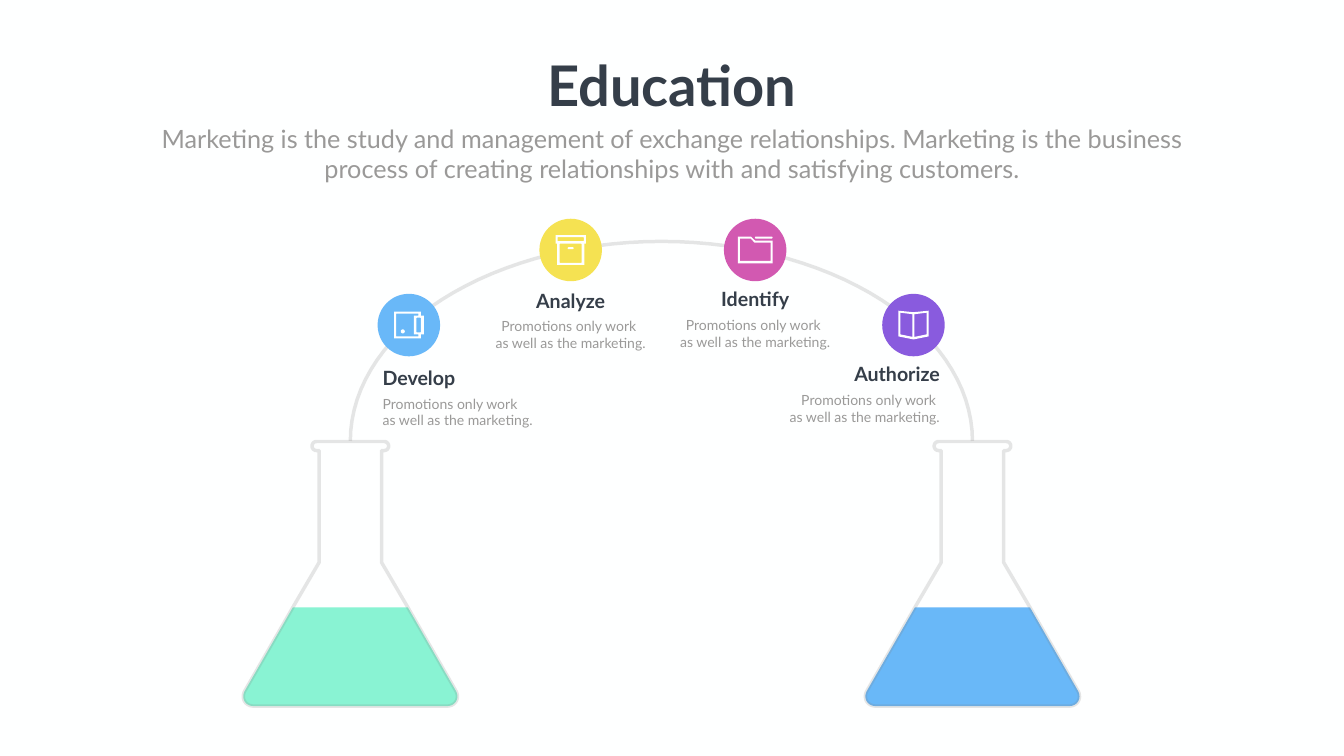
import math

from pptx import Presentation
from pptx import util as u
from pptx.dml.color import RGBColor
from pptx.enum import shapes, text
from pptx.oxml import parse_xml
from pptx.oxml.ns import nsdecls

COLORS = {
    "paper": "FEFFFF", "dark": "353E49", "muted": "9A9998", "glass": "808080",
    "mint": "89F3D3", "blue": "69B8F8", "yellow": "F5E252",
    "pink": "D259B1", "violet": "895BDE",
}
FONT = "Lato"
LEFT, MID, RIGHT = text.PP_ALIGN.LEFT, text.PP_ALIGN.CENTER, text.PP_ALIGN.RIGHT
SHIFT = {LEFT: 0, MID: 0.5, RIGHT: 1}
DISC = 1.24
NOTE = "Promotions only work \nas well as the marketing."


def color(name):
    return RGBColor.from_string(COLORS[name])


# Geometry: lists of points in inches
def arc(cx, cy, rx, ry, start, end, steps=12):
    turns = [math.radians(start + (end - start) * i / steps) for i in range(steps + 1)]
    return [(cx + rx * math.cos(a), cy + ry * math.sin(a)) for a in turns]


def rect(l, t, r, b, rad=0.01):
    return (arc(l + rad, t + rad, rad, rad, 180, 270, 4)
            + arc(r - rad, t + rad, rad, rad, 270, 360, 4)
            + arc(r - rad, b - rad, rad, rad, 0, 90, 4)
            + arc(l + rad, b - rad, rad, rad, 90, 180, 4))


def curve(a, b, c, d, steps=12):
    pts = []
    for i in range(steps + 1):
        t = i / steps
        w = ((1 - t) ** 3, 3 * t * (1 - t) ** 2, 3 * t * t * (1 - t), t ** 3)
        pts.append(tuple(sum(k * p[j] for k, p in zip(w, (a, b, c, d))) for j in (0, 1)))
    return pts


def mirror(half):
    return half + [(-x, y) for x, y in reversed(half)]


def draw(slide, x, y, paths, fill=None, close=True):
    """Outline of one or more paths around the point x, y."""
    pen = None
    for path in paths:
        pts = [(px * 1000, py * 1000) for px, py in path]
        if pen is None:
            pen = slide.shapes.build_freeform(*pts[0], scale=u.Inches(1) / 1000)
        else:
            pen.move_to(*pts[0])
        pen.add_line_segments(pts[1:], close=close)
    shape = pen.convert_to_shape(u.Inches(x), u.Inches(y))
    shape.shadow.inherit = False
    if fill:
        shape.fill.solid()
        shape.fill.fore_color.rgb = color(fill)
        shape.line.fill.background()
    else:
        shape.fill.background()
        shape.line.width = u.Pt(5)
        shape.line.color.rgb = color("glass")
        tint = shape.line.fill._xPr.find(".//{*}srgbClr")
        tint.append(parse_xml(f'<a:alpha {nsdecls("a")} val="20000"/>'))


def write(slide, box, words, size, tone, align, bold=False, wrap=True):
    area = slide.shapes.add_textbox(*(u.Inches(v) for v in box))
    frame = area.text_frame
    frame.text = words
    frame.word_wrap = wrap
    frame.auto_size = text.MSO_AUTO_SIZE.SHAPE_TO_FIT_TEXT
    for para in frame.paragraphs:
        para.alignment = align
        for run in para.runs:
            run.font.name, run.font.size = FONT, u.Pt(size)
            run.font.bold = bold
            run.font.color.rgb = color(tone)


# White icons: shapes made of paths around the disc centre
PAGE = [(-0.26, -0.245), (-0.02, -0.215), (-0.02, 0.235), (-0.26, 0.185)]
ICONS = {
    "wallet": [
        [[(-0.29, -0.265), (0.24, -0.265), (0.24, -0.185), (0.3, -0.185),
          (0.3, 0.185), (0.24, 0.185), (0.24, 0.265), (-0.29, 0.265)],
         [(-0.25, -0.225), (0.19, -0.225), (0.19, -0.185), (0.1, -0.185),
          (0.1, 0.185), (0.19, 0.185), (0.19, 0.225), (-0.25, 0.225)],
         rect(0.15, -0.145, 0.24, 0.145)],
        [arc(-0.12, 0.125, 0.04, 0.04, 0, 360)],
    ],
    "crate": [
        [mirror([(0.3, -0.295), (0.3, -0.125), (0.27, -0.125), (0.27, 0.295)]),
         rect(-0.26, -0.255, 0.26, -0.175), rect(-0.22, -0.125, 0.22, 0.255)],
        [rect(-0.06, -0.055, 0.06, -0.015, 0.02)],
    ],
    "folder": [
        [[(-0.345, -0.265), (-0.085, -0.265), (0, -0.185), (0.345, -0.185),
          (0.345, 0.265), (-0.345, 0.265)],
         [(-0.305, -0.225), (-0.085, -0.225), (-0.015, -0.145), (0.305, -0.145),
          (0.305, 0.215), (-0.305, 0.215)]],
        [rect(-0.005, -0.265, 0.345, -0.225, 0.02)],
    ],
    "book": [
        [mirror([(0, -0.255), (0.3, -0.285), (0.3, 0.225), (0, 0.285)]),
         PAGE, [(-x, y) for x, y in PAGE]],
    ],
}


def header(slide, x, y, w):
    write(slide, (x + (w - 5.24) / 2, y, 5.24, 1.45), "Education",
          80, "dark", MID, bold=True, wrap=False)
    write(slide, (x, y + 1.43, w, 1.31),
          "Marketing is the study and management of exchange relationships. "
          "Marketing is the business process of creating relationships with "
          "and satisfying customers.", 36, "muted", MID)


def flask(slide, x, y, fill):
    """Flask with its rim centred on x, y."""
    neck = [(0, 0)] + arc(0.67, 0.09, 0.09, 0.09, -90, 90)
    neck += [(0.62, 0.18), (0.62, 2.4)]
    bulb = [(1.14, 3.29)] + curve((2.1, 4.96), (2.17, 5.1), (2.08, 5.25), (1.92, 5.25))
    draw(slide, x, y, [mirror(bulb)], fill)
    draw(slide, x, y, [mirror(neck + bulb)])


def step(slide, x, y, name, icon, fill, align, gap):
    """Disc with its icon, and the label under it."""
    disc = slide.shapes.add_shape(shapes.MSO_SHAPE.OVAL, u.Inches(x), u.Inches(y),
                                  u.Inches(DISC), u.Inches(DISC))
    disc.shadow.inherit = False
    disc.fill.solid()
    disc.fill.fore_color.rgb = color(fill)
    disc.line.fill.background()
    for paths in ICONS[icon]:
        draw(slide, x + DISC / 2, y + DISC / 2, paths, "paper")

    top = y + DISC + gap
    for words, w, h, size, tone, bold in ((name, 2.61, 0.57, 28, "dark", True),
                                          (NOTE, 4.37, 0.77, 20, "muted", False)):
        left = x + (DISC - w) * SHIFT[align]
        write(slide, (left, top, w, h), words, size, tone, align, bold)
        top += h + 0.01


def main():
    deck = Presentation()
    deck.slide_width, deck.slide_height = u.Inches(26.66), u.Inches(15)
    slide = deck.slides.add_slide(deck.slide_layouts[6])
    slide.background.fill.solid()
    slide.background.fill.fore_color.rgb = color("paper")

    # Arch between the two flasks
    draw(slide, 13.12, 8.75, [arc(0, 0, 6.17, 3.96, 180, 360, 60)], close=False)
    flask(slide, 6.95, 8.76, "mint")
    flask(slide, 19.29, 8.76, "blue")

    # Steps along the arch
    for spot in (
        (7.49, 5.83, "Develop", "wallet", "blue", LEFT, 0.14),
        (10.7, 4.34, "Analyze", "crate", "yellow", MID, 0.1),
        (14.36, 4.34, "Identify", "folder", "pink", MID, 0.07),
        (17.5, 5.83, "Authorize", "book", "violet", RIGHT, 0.07),
    ):
        step(slide, *spot)

    header(slide, 2.68, 0.96, 21.3)
    deck.save("out.pptx")


if __name__ == "__main__":
    main()
